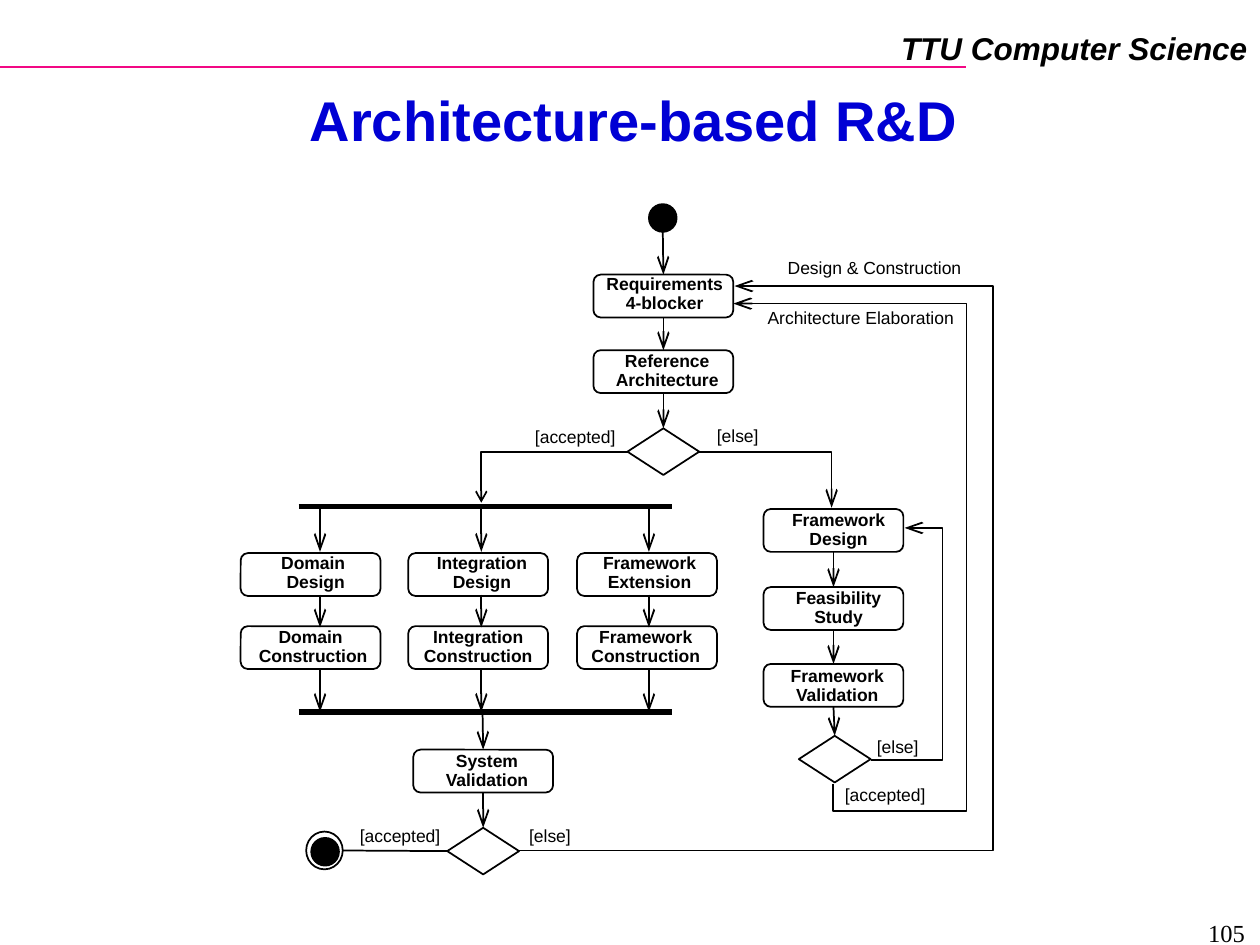
from dataclasses import dataclass
from typing import Any

from lxml.etree import SubElement
from pptx import Presentation
from pptx.dml.color import RGBColor
from pptx.enum.shapes import MSO_CONNECTOR, MSO_SHAPE
from pptx.enum.text import MSO_ANCHOR, MSO_AUTO_SIZE, PP_ALIGN
from pptx.oxml.ns import qn
from pptx.util import Emu, Pt

PX = 9144  # EMU per px, 100 px to the inch
BLACK = RGBColor(0x00, 0x00, 0x00)
BLUE = RGBColor(0x00, 0x00, 0xD4)
PINK = RGBColor(0xF2, 0x08, 0x84)
NODE_WIDTH, NODE_HEIGHT = 111, 34
LABEL_WIDTH, LABEL_HEIGHT = 133, 25
TOP, LEFT, BOTTOM = 0, 1, 2


@dataclass
class Region:
    """A part of the slide with its own origin in px."""
    slide: Any
    left: int
    top: int

    def point(self, x, y):
        return Emu((self.left + x) * PX), Emu((self.top + y) * PX)

    def frame(self, x, y, width, height):
        return *self.point(x, y), Emu(width * PX), Emu(height * PX)


def add_text(region, text, x, y, width=LABEL_WIDTH, height=LABEL_HEIGHT, *, size=10,
             font="Arial", color=BLACK, bold=False, italic=False, align=PP_ALIGN.CENTER,
             anchor=MSO_ANCHOR.TOP, spacing=0.9, wrap=True, grow=True):
    box = region.slide.shapes.add_textbox(*region.frame(x, y, width, height))
    frame = box.text_frame
    frame.word_wrap = wrap
    frame.auto_size = MSO_AUTO_SIZE.SHAPE_TO_FIT_TEXT if grow else MSO_AUTO_SIZE.NONE
    frame.vertical_anchor = anchor
    frame.text = text
    for paragraph in frame.paragraphs:
        paragraph.alignment = align
        paragraph.line_spacing = spacing
        run_font = paragraph.runs[0].font
        run_font.name, run_font.size = font, Pt(size)
        run_font.bold, run_font.italic = bold, italic
        run_font.color.rgb = color


def style_line(shape, color=BLACK, width=1, arrow=None):
    """Colour the line; arrow is the length of its arrowhead."""
    shape.line.color.rgb = color
    shape.line.width = Pt(width)
    if arrow:
        line = shape._element.spPr.find(qn("a:ln"))
        SubElement(line, qn("a:tailEnd"), type="arrow", w="med", len=arrow)


def add_outline(region, kind, x, y, width, height, fill=None):
    shape = region.slide.shapes.add_shape(kind, *region.frame(x, y, width, height))
    shape.shadow.inherit = False
    if fill is None:
        shape.fill.background()
    else:
        shape.fill.solid()
        shape.fill.fore_color.rgb = fill
    style_line(shape)
    return shape


def add_node(region, text, x, y, text_dx=-8, text_dy=-3):
    node = add_outline(region, MSO_SHAPE.ROUNDED_RECTANGLE, x, y, NODE_WIDTH, NODE_HEIGHT)
    node.adjustments[0] = 0.17
    add_text(region, text, x + text_dx, y + text_dy, height=40, bold=True)
    return node


def add_decision(region, x, y):
    return add_outline(region, MSO_SHAPE.DIAMOND, x, y, 57, 37)


def add_line(region, start, end, color=BLACK, width=1, arrow=None,
             begin_at=None, end_at=None):
    """Draw a straight line; begin_at and end_at are (shape, side) to join."""
    connector = region.slide.shapes.add_connector(
        MSO_CONNECTOR.STRAIGHT, *region.point(*start), *region.point(*end))
    if begin_at:
        connector.begin_connect(*begin_at)
    if end_at:
        connector.end_connect(*end_at)
    style_line(connector, color, width, arrow)
    SubElement(connector._element.spPr, qn("a:effectLst"))


def add_arrow(region, start, end, **joins):
    add_line(region, start, end, arrow="lg", **joins)


def add_step(region, upper, lower):
    """Join two stacked shapes with an arrow."""
    add_arrow(region, (0, 0), (0, 0), begin_at=(upper, BOTTOM), end_at=(lower, TOP))


def add_route(region, points, arrow="lg"):
    """Draw a bent arrow through the points."""
    corners = [region.point(*point) for point in points]
    builder = region.slide.shapes.build_freeform(*corners[0])
    builder.add_line_segments(corners[1:], close=False)
    route = builder.convert_to_shape()
    route.shadow.inherit = False
    route.fill.background()
    style_line(route, arrow=arrow)


def draw_frame(region):
    add_line(region, (0, 53), (767, 53), color=PINK)
    add_text(region, "TTU Computer Science", 705, 18, 295, 40, size=18, bold=True,
             italic=True, align=PP_ALIGN.RIGHT, spacing=1.0, wrap=False)
    add_text(region, "Architecture-based R&D", 53, 71, 900, 55, size=32, color=BLUE,
             bold=True, anchor=MSO_ANCHOR.MIDDLE, spacing=0.87, grow=False)
    add_text(region, "105", 765, 724, 233, 22, size=14, font="Times New Roman",
             align=PP_ALIGN.RIGHT, spacing=1.0, grow=False)


def draw_requirements(region):
    add_outline(region, MSO_SHAPE.OVAL, 135, 2, 22, 22, fill=BLACK)
    requirements = add_node(region, "Requirements\n4-blocker", 91, 58, -10, -4)
    reference = add_node(region, "Reference\nArchitecture", 91, 118)
    decision = add_decision(region, 118, 180)
    add_arrow(region, (146, 21), (146, 56), end_at=(requirements, TOP))
    add_step(region, requirements, reference)
    add_step(region, reference, decision)
    # Branches
    add_route(region, [(119, 199), (2, 199), (2, 239)], arrow="med")
    add_route(region, [(175, 199), (280, 199), (280, 243)])
    add_text(region, "[accepted]", 10, 175)
    add_text(region, "[else]", 139, 174)


def draw_parallel_work(region):
    for y in (2, 165):  # fork and join bars
        add_line(region, (47, y), (343, y), width=3)
    columns = [  # node left, arrow x, (text, text offset) of both nodes
        (1, 64, ("Domain \nDesign", -7), ("Domain \nConstruction", -9)),
        (134, 192, ("Integration\nDesign", -8), ("Integration\nConstruction", -11)),
        (268, 325, ("Framework\nExtension", -9), ("Framework\nConstruction", -12)),
    ]
    for left, arrow_x, (design, design_dx), (construction, construction_dx) in columns:
        add_node(region, design, left, 39, design_dx, -4)
        add_node(region, construction, left, 97, construction_dx)
        for start, end in ((4, 38), (72, 98), (131, 165)):
            add_arrow(region, (arrow_x, start), (arrow_x, end))


def draw_framework(region):
    design = add_node(region, "Framework\nDesign", 6, 4, -7)
    study = add_node(region, "Feasibility\nStudy", 6, 66, -7)
    validation = add_node(region, "Framework\nValidation", 6, 127, -8, -2)
    decision = add_decision(region, 34, 184)
    stack = [design, study, validation, decision]
    for upper, lower in zip(stack, stack[1:]):
        add_step(region, upper, lower)
    add_route(region, [(91, 203), (148, 203), (148, 19), (118, 19)])
    add_text(region, "[accepted]", 36, 219)
    add_text(region, "[else]", 46, 181)


def draw_finish(region):
    validation = add_node(region, "System\nValidation", 88, 35)
    decision = add_decision(region, 115, 97)
    add_arrow(region, (143, 7), (143, 34), end_at=(validation, TOP))
    add_step(region, validation, decision)
    # End mark
    add_outline(region, MSO_SHAPE.OVAL, 7, 105, 22, 22, fill=BLACK)
    add_outline(region, MSO_SHAPE.OVAL, 3, 100, 29, 30)
    add_line(region, (32, 115), (115, 115), end_at=(decision, LEFT))
    add_text(region, "[accepted]", 11, 92)
    add_text(region, "[else]", 130, 92)


def draw_feedback(region):
    add_route(region, [(251, 422), (251, 444), (357, 444), (357, 41), (172, 41)])
    add_text(region, "Architecture Elaboration", 179, 41, 188)
    add_route(region, [(1, 475), (378, 475), (378, 27), (173, 27)])
    add_text(region, "Design & Construction", 182, 1, 204)


def main():
    presentation = Presentation()
    presentation.slide_width, presentation.slide_height = Emu(1000 * PX), Emu(750 * PX)
    slide = presentation.slides.add_slide(presentation.slide_layouts[6])
    draw_frame(Region(slide, 0, 0))
    draw_requirements(Region(slide, 380, 160))
    draw_parallel_work(Region(slide, 190, 400))
    draw_framework(Region(slide, 600, 400))
    draw_finish(Region(slide, 240, 560))
    draw_feedback(Region(slide, 410, 200))
    presentation.save("out.pptx")


if __name__ == "__main__":
    main()
